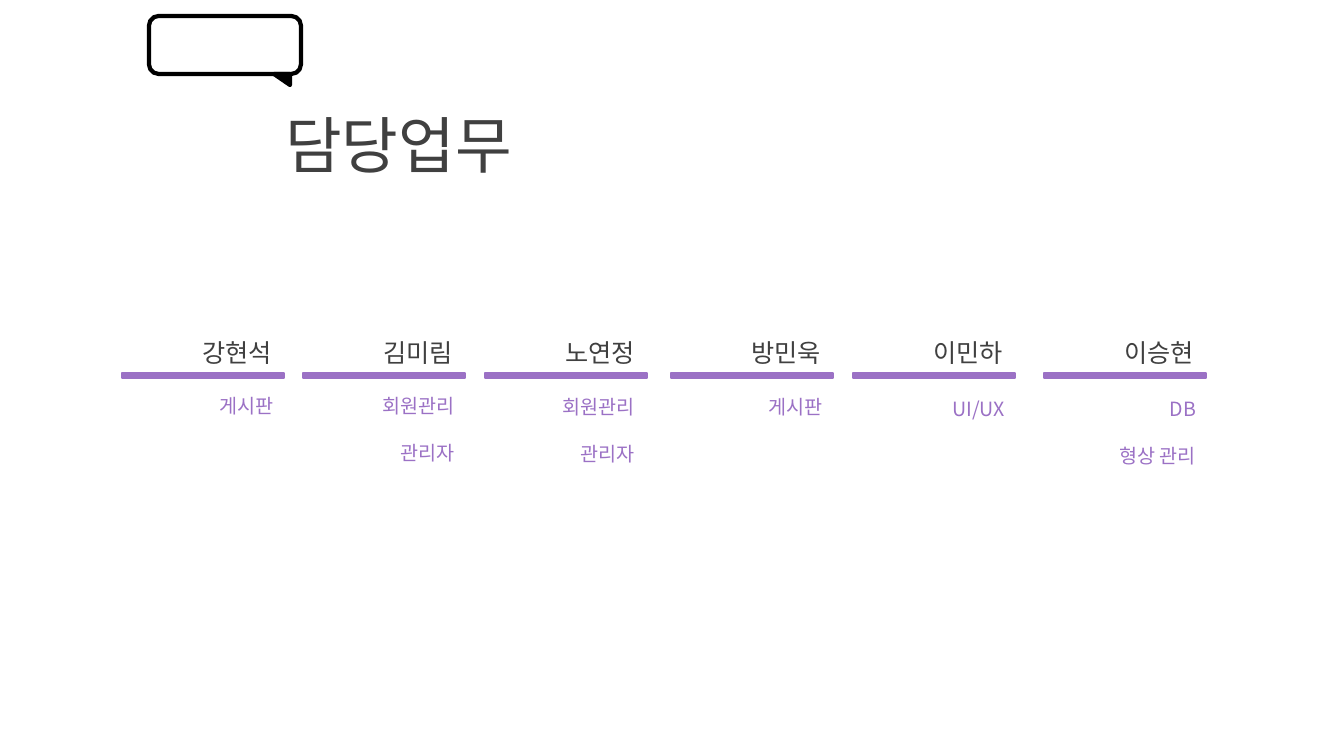
import pptx
import pptx.util
import pptx.dml.color
import pptx.enum.shapes
import pptx.enum.text
import lxml.etree
import pptx.oxml

PX = 914400 / 100.8
FONT = "Noto Sans CJK KR"
COLORS = {"ink": "404040", "purple": "9B71C5", "black": "000000", "white": "FFFFFF"}
SHAPES = pptx.enum.shapes.MSO_SHAPE
OUTLINE = (
    '<a:ln xmlns:a="http://schemas.openxmlformats.org/drawingml/2006/main" w="9525">'
    f'<a:solidFill><a:srgbClr val="{COLORS["white"]}"><a:alpha val="20000"/></a:srgbClr></a:solidFill></a:ln>'
)


def add_figure(shapes, kind, frame, fill, line, weight):
    figure = shapes.add_shape(kind, *[round(n * PX) for n in frame])
    figure.shadow.inherit = False
    if fill:
        figure.fill.solid()
        figure.fill.fore_color.rgb = pptx.dml.color.RGBColor.from_string(COLORS[fill])
    else:
        figure.fill.background()
    figure.line.color.rgb = pptx.dml.color.RGBColor.from_string(COLORS[line])
    figure.line.width = pptx.util.Pt(weight)
    return figure


def write_lines(box, lines, size, color, align, gap=0, outlined=True):
    frame = box.text_frame
    frame.word_wrap = True
    frame.auto_size = pptx.enum.text.MSO_AUTO_SIZE.NONE
    frame.vertical_anchor = pptx.enum.text.MSO_ANCHOR.TOP
    for index, line in enumerate(lines):
        para = frame.add_paragraph() if index else frame.paragraphs[0]
        para.alignment = align
        para.line_spacing = 1.0
        para.space_before = pptx.util.Pt(gap if index else 0)
        span = para.add_run()
        span.text = line
        span.font.size = pptx.util.Pt(size)
        span.font.name = FONT
        span.font.color.rgb = pptx.dml.color.RGBColor.from_string(COLORS[color])
        properties = span.font._element
        east_asian = lxml.etree.SubElement(properties, pptx.oxml.ns.qn("a:ea"))
        east_asian.set("typeface", FONT)
        if outlined:
            properties.insert(0, pptx.oxml.parse_xml(OUTLINE))


deck = pptx.Presentation()
deck.slide_width = round(1344 * PX)
deck.slide_height = round(756 * PX)
page = deck.slides.add_slide(deck.slide_layouts[5])
LEFT = pptx.enum.text.PP_ALIGN.LEFT
RIGHT = pptx.enum.text.PP_ALIGN.RIGHT

title = page.shapes.title
title.left, title.top, title.width, title.height = [round(n * PX) for n in (275, 102, 394, 85)]
write_lines(title, ["담당업무"], 44, "ink", LEFT, outlined=False)

members = [
    ("강현석", 122, 389, ["게시판"]),
    ("김미림", 303, 389, ["회원관리", "관리자"]),
    ("노연정", 485, 390, ["회원관리", "관리자"]),
    ("방민욱", 671, 390, ["게시판"]),
    ("이민하", 853, 392, ["UI/UX"]),
    ("이승현", 1044, 392, ["DB", "형상 관리"]),
]
for name, left, task_top, tasks in members:
    member = page.shapes.add_group_shape()
    add_figure(member.shapes, SHAPES.RECTANGLE, (left, 373, 162, 5), "purple", "purple", 1)
    name_box = member.shapes.add_textbox(*[round(n * PX) for n in (left - 2, 332, 162, 40)])
    write_lines(name_box, [name], 18, "ink", RIGHT)
    task_left = left - 2 if name == "노연정" else left
    task_box = page.shapes.add_textbox(*[round(n * PX) for n in (task_left, task_top, 162, 129)])
    write_lines(task_box, tasks, 14, "purple", RIGHT, gap=17)

bubble = page.shapes.add_group_shape()
add_figure(bubble.shapes, SHAPES.ROUNDED_RECTANGLE, (149, 16, 152, 58), None, "black", 3)
tail = add_figure(bubble.shapes, SHAPES.RIGHT_TRIANGLE, (274, 74, 16, 11), "black", "black", 3)
tail.rotation = 180

deck.save("out.pptx")
